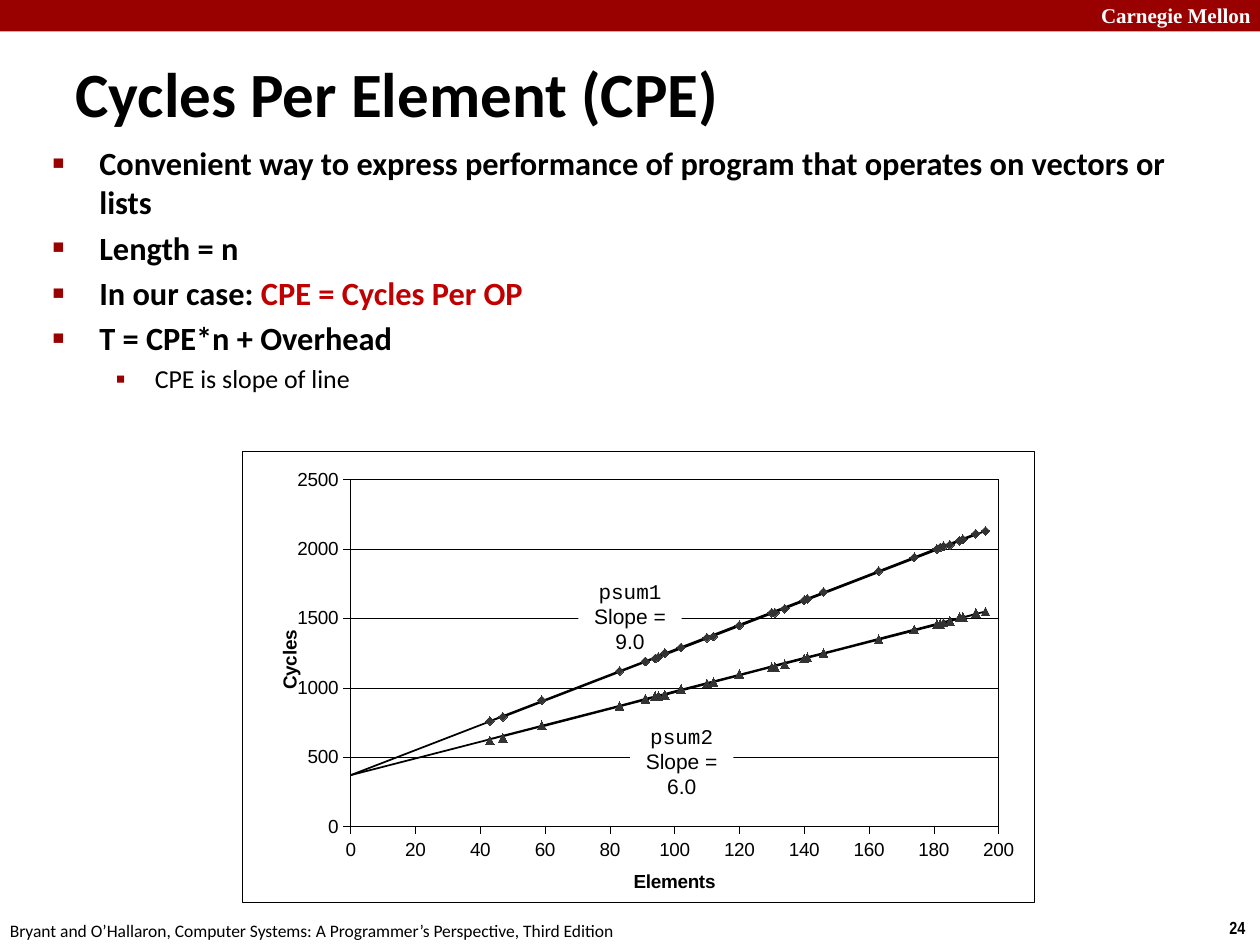
from lxml import etree
from pptx import Presentation
from pptx import util as u
from pptx.chart.data import XyChartData
from pptx.dml.color import RGBColor
from pptx.enum import chart as charts, shapes, text
from pptx.oxml import parse_xml
from pptx.oxml.ns import nsdecls, qn

PX = 9144  # 100 px to the inch
COLORS = {"band": "990000", "accent": "C00000", "ink": "000000",
          "paper": "FFFFFF", "marker": "333333"}

ELEMENTS = [0, 193, 120, 91, 95, 196, 97, 181, 91, 83, 43, 183, 140, 146, 94,
            134, 163, 131, 110, 182, 189, 112, 141, 185, 188, 47, 130, 102, 59, 174]
PSUM1 = [None, 2110, 1450, 1190, 1220, 2130, 1250, 2000, 1190, 1120,
         760, 2020, 1630, 1690, 1210, 1570, 1840, 1540, 1360, 2010,
         2070, 1370, 1640, 2030, 2060, 790, 1540, 1290, 910, 1940]
PSUM1_FIT = [370, 2110, 1450, 1190, 1220, 2130, 1240, 2000, 1190, 1120,
             760, 2020, 1630, 1680, 1220, 1580, 1840, 1550, 1360, 2010,
             2070, 1380, 1640, 2040, 2060, 790, 1540, 1290, 900, 1940]
PSUM2 = [None, 1540, 1100, 920, 940, 1550, 950, 1460, 920, 870,
         620, 1470, 1210, 1250, 940, 1170, 1350, 1150, 1030, 1460,
         1510, 1040, 1220, 1480, 1510, 640, 1150, 990, 730, 1420]
PSUM2_FIT = [370, 1530, 1090, 920, 940, 1550, 950, 1460, 920, 870,
             630, 1470, 1210, 1250, 930, 1180, 1350, 1160, 1030, 1460,
             1510, 1040, 1220, 1480, 1500, 650, 1150, 980, 720, 1420]


def px(*lengths):
    return [u.Emu(length * PX) for length in lengths]


def color(name):
    return RGBColor.from_string(COLORS[name])


def add_run(para, words, size, font="Calibri", ink="ink", bold=False):
    span = para.add_run()
    span.text = words
    span.font.size = u.Pt(size)
    span.font.name = font
    span.font.bold = bold
    span.font.color.rgb = color(ink)


def add_text_box(page, area, wrap=True):
    frame = page.shapes.add_textbox(*px(*area)).text_frame
    frame.word_wrap = wrap
    return frame


def add_block(page, area):
    block = page.shapes.add_shape(shapes.MSO_SHAPE.RECTANGLE, *px(*area))
    block.shadow.inherit = False
    block.fill.solid()
    block.line.fill.background()
    return block


def add_header(page, area):
    left, top, width, _ = area
    add_block(page, area).fill.fore_color.rgb = color("band")
    frame = add_text_box(page, (left + width - 136, top - 3, 143, 30))
    add_run(frame.paragraphs[0], "Carnegie Mellon", 12, "Times New Roman", "paper", True)


def add_footer(page, area):
    left, top, width, height = area
    number = add_text_box(page, (left + width - 34, top - 2, 34, height), False)
    add_run(number.paragraphs[0], "24", 10, "Arial Narrow", bold=True)
    source = add_text_box(page, (left - 2, top, 508, height), False)
    add_run(source.paragraphs[0], "Bryant and O’Hallaron, Computer Systems: "
            "A Programmer’s Perspective, Third Edition", 10)


def add_title(page, area):
    frame = add_text_box(page, area)
    frame.vertical_anchor = text.MSO_ANCHOR.MIDDLE
    add_run(frame.paragraphs[0], "Cycles Per Element (CPE)", 36, bold=True)


def add_bullet(para, mark, percent, margin, hang):
    props = para._p.get_or_add_pPr()
    props.set("marL", str(margin * PX))
    props.set("indent", str(-hang * PX))
    tint = etree.SubElement(props, qn("a:buClr"))
    etree.SubElement(tint, qn("a:srgbClr"), val=COLORS["band"])
    etree.SubElement(props, qn("a:buSzPct"), val=str(percent * 1000))
    etree.SubElement(props, qn("a:buFont"), typeface="Arial")
    etree.SubElement(props, qn("a:buChar"), char=mark)


def add_body(page, area):
    frame = add_text_box(page, area)
    points = [
        (0, [("Convenient way to express performance of program that operates "
              "on vectors or lists", "ink")]),
        (0, [("Length = n", "ink")]),
        (0, [("In our case: ", "ink"), ("CPE = Cycles Per OP", "accent")]),
        (0, [("T = CPE*n + Overhead", "ink")]),
        (1, [("CPE is slope of line", "ink")]),
    ]
    levels = [(18.5, True, ("■", 60, 37, 37)), (14.8, False, ("▪", 110, 81, 31))]
    for index, (level, spans) in enumerate(points):
        para = frame.paragraphs[0] if index == 0 else frame.add_paragraph()
        size, bold, bullet = levels[level]
        para.level = level
        add_bullet(para, *bullet)
        if index:
            para.space_before = u.Pt(round(size * 0.2, 1))
        for words, ink in spans:
            add_run(para, words, size, ink=ink, bold=bold)


def style_line(line, width):
    line.color.rgb = color("ink")
    line.width = u.Pt(width)


def manual_layout(**places):
    layout = etree.Element(qn("c:layout"))
    manual = etree.SubElement(layout, qn("c:manualLayout"))
    for tag, value in places.items():
        etree.SubElement(manual, qn("c:" + tag), val=str(value))
    return layout


def set_layout(parent, index, **places):
    for layout in parent.findall(qn("c:layout")):
        parent.remove(layout)
    parent.insert(index, manual_layout(**places))


def style_axis(axis, title, top, step, x, y):
    axis.minimum_scale, axis.maximum_scale, axis.major_unit = 0, top, step
    axis.major_tick_mark = charts.XL_TICK_MARK.OUTSIDE
    axis.minor_tick_mark = charts.XL_TICK_MARK.NONE
    style_line(axis.format.line, 0.25)
    add_run(axis.axis_title.text_frame.paragraphs[0], title, 10.8, "Arial", bold=True)
    set_layout(axis.axis_title._element, 1, xMode="edge", yMode="edge", x=x, y=y)


def style_series(series, marker):
    if marker is None:
        series.marker.style = charts.XL_MARKER_STYLE.NONE
        style_line(series.format.line, 1)
        return
    series.format.line.fill.background()
    series.marker.style = marker
    series.marker.size = 5
    series.marker.format.fill.solid()
    series.marker.format.fill.fore_color.rgb = color("marker")
    series.marker.format.line.color.rgb = color("marker")


def outline(fill):
    return parse_xml(
        f'<c:spPr {nsdecls("c", "a")}>{fill}<a:ln w="3175"><a:solidFill>'
        f'<a:srgbClr val="{COLORS["ink"]}"/></a:solidFill></a:ln></c:spPr>')


def frame_chart(chart):
    """Outline the chart and its plot, and fix the plot's inner position."""
    paper = f'<a:solidFill><a:srgbClr val="{COLORS["paper"]}"/></a:solidFill>'
    chart.element.find(qn("c:txPr")).addprevious(outline(paper))
    plot_area = chart.element.find(".//" + qn("c:plotArea"))
    set_layout(plot_area, 0, layoutTarget="inner", xMode="edge", yMode="edge",
               x=0.137, y=0.063, w=0.818, h=0.77)
    plot_area.append(outline("<a:noFill/>"))


def drop_empty_points(chart):
    """Leave a gap in the cached values where a series has no measurement."""
    for point in list(chart.element.iter(qn("c:pt"))):
        if point.findtext(qn("c:v")) in ("None", ""):
            point.getparent().remove(point)


def add_slope_label(page, area, function, slope):
    label = add_block(page, area)
    label.fill.fore_color.rgb = color("paper")
    frame = label.text_frame
    frame.word_wrap = True
    frame.vertical_anchor = text.MSO_ANCHOR.TOP
    frame.margin_left, frame.margin_top, frame.margin_right, frame.margin_bottom = px(3, 3, 3, 0)
    lines = [(function, "Courier New"), (f"Slope = {slope}", "Arial")]
    for para, (words, font) in zip([frame.paragraphs[0], frame.add_paragraph()], lines):
        para.alignment = text.PP_ALIGN.CENTER
        add_run(para, words, 12, font)


def add_cycles_chart(page, area):
    data = XyChartData()
    for number, cycles in enumerate([PSUM1, PSUM1_FIT, PSUM2, PSUM2_FIT], 1):
        series = data.add_series(f"Series {number}")
        for x, y in zip(ELEMENTS, cycles):
            series.add_data_point(x, y)
    chart = page.shapes.add_chart(charts.XL_CHART_TYPE.XY_SCATTER, *px(*area), data).chart
    drop_empty_points(chart)
    chart.has_legend = chart.has_title = False
    chart.font.name, chart.font.size = "Arial", u.Pt(10.8)
    chart.font.color.rgb = color("ink")
    chart.plots[0].vary_by_categories = False
    style_axis(chart.category_axis, "Elements", 200, 20, 0.49, 0.92)
    style_axis(chart.value_axis, "Cycles", 2500, 500, 0.04, 0.39)
    chart.category_axis.has_major_gridlines = False
    style_line(chart.value_axis.major_gridlines.format.line, 0.25)
    marks = charts.XL_MARKER_STYLE
    for series, marker in zip(chart.plots[0].series, [marks.DIAMOND, None, marks.TRIANGLE, None]):
        style_series(series, marker)
    frame_chart(chart)
    left, top = area[:2]
    add_slope_label(page, (left + 267, top + 98, 82, 37), "psum1", "9.0")
    add_slope_label(page, (left + 308, top + 213, 82, 37), "psum2", "6.0")


def main():
    deck = Presentation()
    deck.slide_width, deck.slide_height = px(1000, 750)
    page = deck.slides.add_slide(deck.slide_layouts[6])
    add_header(page, (0, 0, 1000, 25))
    add_footer(page, (0, 725, 1000, 27))
    add_title(page, (50, 42, 890, 63))
    add_body(page, (32, 109, 909, 217))
    add_cycles_chart(page, (192, 358, 629, 358))
    deck.save("out.pptx")


if __name__ == "__main__":
    main()
